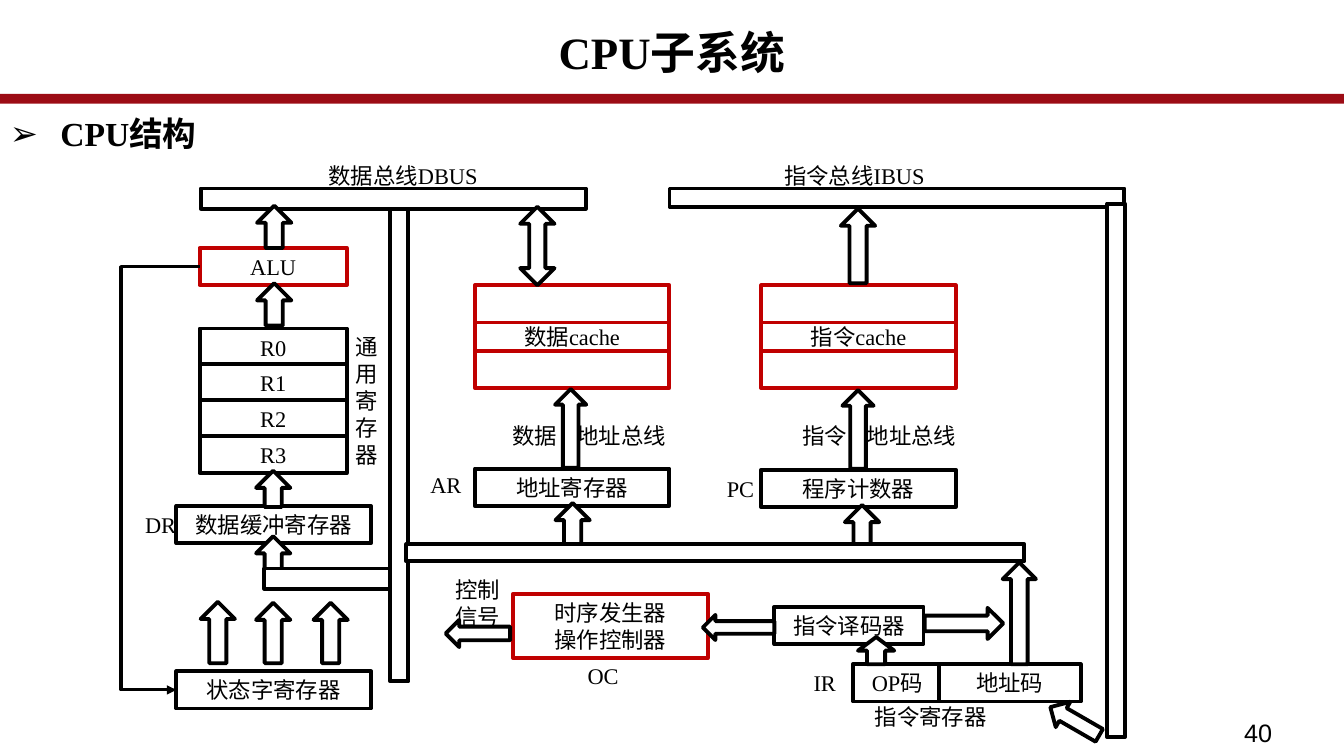
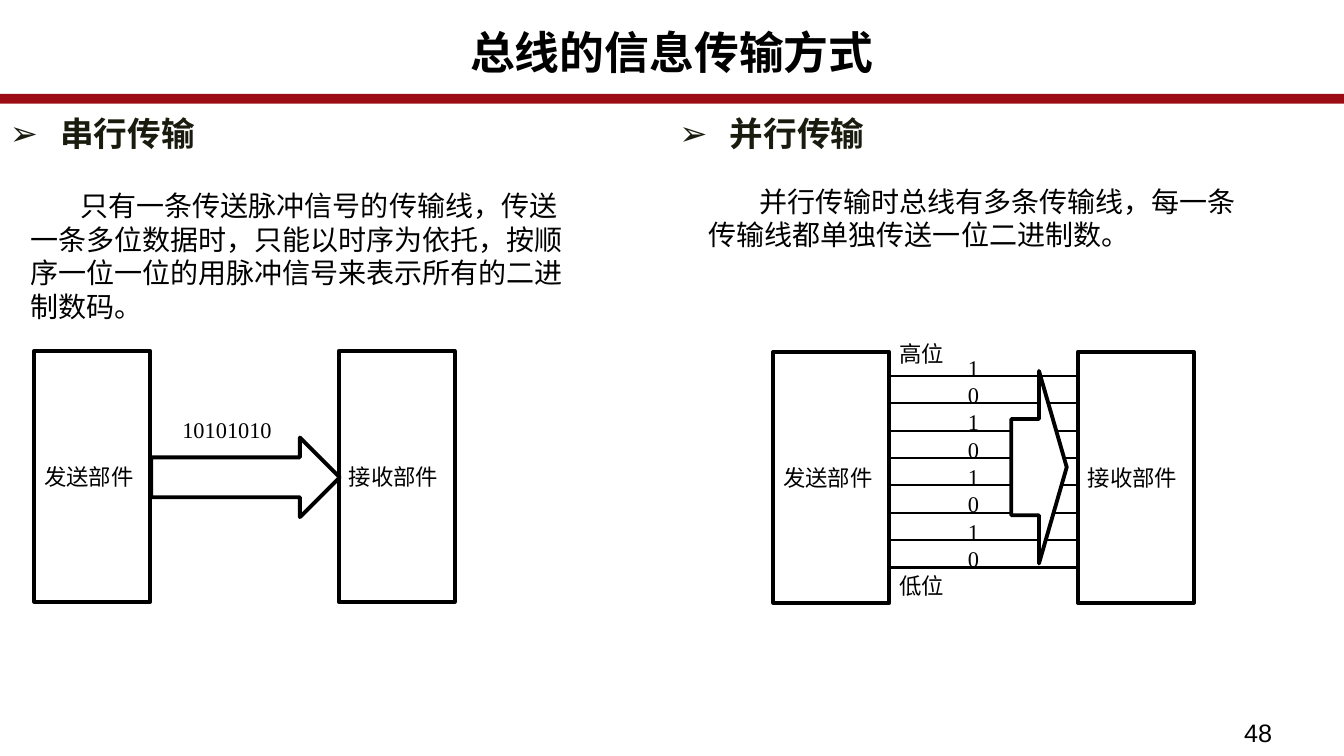
from lxml import etree
from pptx import Presentation
from pptx import util as u
from pptx.dml.color import RGBColor
from pptx.enum import shapes, text
from pptx.oxml import ns

BLACK, WHITE, BAND, RED, INK = "000000", "FFFFFF", "9C0C15", "C00000", "191B0E"
SERIF, SANS = "Times New Roman", "Arial"
SHAPE, ALIGN, ANCHOR = shapes.MSO_SHAPE, text.PP_ALIGN, text.MSO_ANCHOR
WIDTH, HEIGHT = 13.33, 7.5
LINE, ROW = 2.75, 0.37  # outline in points, height of one line of text

# ---- CPU slide: (left, top, width, height) in inches ----
REG_X, REG_W = 1.98, 1.46
UNIT_W = 1.93
WIDE_X, DATA_X, INSTR_X = 1.75, 4.71, 7.55
REGISTERS = ["R0", "R1", "R2", "R3"]
CACHES = [(DATA_X, "数据cache"), (INSTR_X, "指令cache")]
ALU, STATUS = "ALU", "状态字寄存器"
UNITS = [
    (ALU, REG_X, 2.46, REG_W, ROW, RED),
    ("数据缓冲寄存器", WIDE_X, 5.02, UNIT_W, ROW, BLACK),
    (STATUS, WIDE_X, 6.66, UNIT_W, ROW, BLACK),
    ("地址寄存器", DATA_X, 4.65, UNIT_W, ROW, BLACK),
    ("程序计数器", INSTR_X, 4.66, UNIT_W, ROW, BLACK),
    ("时序发生器\n操作控制器", 5.09, 5.89, UNIT_W, 0.64, RED),
    ("指令译码器", 7.68, 6.02, 1.48, ROW, BLACK),
    ("OP码", 8.46, 6.59, 0.88, ROW, BLACK),
    ("地址码", 9.31, 6.59, 1.41, ROW, BLACK),
]
LABELS = [
    ("数据总线DBUS", 3.16, 1.56, 1.99, ROW),
    ("指令总线IBUS", 7.68, 1.56, 1.99, ROW),
    ("通用寄存器", 3.43, 3.26, 0.44, 1.45),
    ("DR", 1.34, 5.02, 0.65, ROW),
    ("OC", 5.73, 6.52, 0.65, ROW),
    ("AR", 4.17, 4.63, 0.65, ROW),
    ("PC", 7.11, 4.66, 0.65, ROW),
    ("IR", 7.97, 6.59, 0.65, ROW),
    ("指令寄存器", 8.58, 6.93, 1.93, ROW),
    ("控制信号", 4.42, 5.67, 0.65, 0.64),
    ("数据\t地址总线", 4.98, 4.14, 1.81, ROW),
    ("指令\t地址总线", 7.86, 4.14, 2.08, ROW),
]
BACK_BUSES = [(3.87, 2.04, 0.18, 4.72), (1.99, 1.87, 3.82, 0.2), (6.64, 1.87, 4.51, 0.18)]
FRONT_BUSES = [(10.98, 2.02, 0.18, 5.29), (4.03, 5.4, 6.13, 0.17), (2.62, 5.64, 1.25, 0.2)]
# centre x, top, width, height
UP_ARROWS = [
    (2.72, 2.04, 0.34, 0.42), (2.72, 2.81, 0.34, 0.42),
    (2.71, 4.67, 0.34, 0.36), (2.71, 5.32, 0.34, 0.36),
    (2.16, 5.97, 0.34, 0.61), (2.71, 5.98, 0.34, 0.6), (3.28, 5.98, 0.34, 0.6),
    (5.66, 3.86, 0.31, 0.78), (8.51, 3.87, 0.31, 0.78),
    (5.68, 4.99, 0.34, 0.42), (8.55, 5.01, 0.34, 0.42),
    (8.69, 6.32, 0.36, 0.27), (8.51, 2.07, 0.34, 0.74), (10.11, 5.58, 0.33, 1.01),
]
SIDE_ARROWS = [
    (SHAPE.LEFT_ARROW, 4.42, 6.15, 0.64, 0.27, 0),
    (SHAPE.LEFT_ARROW, 6.97, 6.1, 0.71, 0.25, 0),
    (SHAPE.RIGHT_ARROW, 9.17, 6.03, 0.78, 0.31, 0),
    (SHAPE.RIGHT_ARROW, 10.38, 7.01, 0.56, 0.29, 210),
]
FEEDBACK_X = 1.2

# ---- transfer slide ----
SERIAL_TEXT = ("只有一条传送脉冲信号的传输线，传送一条多位数据时，只能以时序为依托，"
               "按顺序一位一位的用脉冲信号来表示所有的二进制数码。")
PARALLEL_TEXT = "并行传输时总线有多条传输线，每一条传输线都单独传送一位二进制数。"
BITS = "10101010"
PART_W, PART_H, PART_STEP = 1.15, 2.49, 3.02
WIRE_TOP, WIRE_BOTTOM = 3.73, 5.63


def color(value):
    return RGBColor.from_string(value)


def inches(*values):
    return [u.Inches(v) for v in values]


def add_xml(parent, tag, **attrs):
    return etree.SubElement(parent, ns.qn(tag), attrs)


def write(tf, content, size=16, font=SERIF, ink=BLACK, bold=False, align=ALIGN.LEFT,
          anchor=ANCHOR.TOP, spacing=None, after=None, left=0, indent=0, bullet=None, tab=None):
    tf.word_wrap = True
    tf.vertical_anchor = anchor
    for i, line in enumerate(content.split("\n")):
        p = tf.paragraphs[0] if i == 0 else tf.add_paragraph()
        p.alignment = align
        if spacing:
            p.line_spacing = spacing
        if after:
            p.space_after = u.Pt(after)
        pPr = p._p.get_or_add_pPr()
        if left or indent:
            pPr.set("marL", str(u.Inches(left)))
            pPr.set("indent", str(u.Inches(indent)))
        if bullet:
            add_xml(pPr, "a:buFont", typeface=SANS)
            add_xml(pPr, "a:buChar", char=bullet)
        if tab:
            tabs = add_xml(pPr, "a:tabLst")
            add_xml(tabs, "a:tab", pos=str(u.Inches(tab)), algn="l")
        r = p.add_run()
        r.text = line
        r.font.name, r.font.size, r.font.bold = font, u.Pt(size), bold
        r.font.color.rgb = color(ink)


def add_text(s, content, x, y, w, h, **fmt):
    write(s.shapes.add_textbox(*inches(x, y, w, h)).text_frame, content, **fmt)


def add_box(s, x, y, w, h, content="", kind=SHAPE.RECTANGLE, fill=WHITE, line=BLACK,
            align=ALIGN.CENTER):
    sp = s.shapes.add_shape(kind, *inches(x, y, w, h))
    sp.shadow.inherit = False
    sp.fill.solid()
    sp.fill.fore_color.rgb = color(fill)
    sp.line.color.rgb = color(line)
    sp.line.width = u.Pt(LINE)
    if content:
        write(sp.text_frame, content, align=align, anchor=ANCHOR.MIDDLE)
    return sp


def add_line(s, kind, x1, y1, x2, y2, width):
    c = s.shapes.add_connector(kind, *inches(x1, y1, x2, y2))
    c.line.color.rgb = color(BLACK)
    c.line.width = u.Pt(width)
    add_xml(c._element.spPr, "a:effectLst")
    return c


def add_heading(s, content, x, ink):
    add_text(s, content, x, 1.1, 6.38, 0.51, size=24, ink=ink, bold=True, spacing=0.94,
             after=2, left=0.5, indent=-0.5, bullet="➢")


def add_slide(prs, title, number):
    s = prs.slides.add_slide(prs.slide_layouts[5])
    add_box(s, -0.01, 0.95, WIDTH + 0.01, 0.06, kind=SHAPE.ROUNDED_RECTANGLE, fill=BAND, line=BAND)
    sp = s.shapes.title
    sp.left, sp.top, sp.width, sp.height = inches(0, 0.26, WIDTH, 0.75)
    write(sp.text_frame, title, size=32, bold=True, align=ALIGN.CENTER, spacing=0.89)
    add_text(s, number, 12.24, 7.07, 1.09, 0.44, size=18, font=SANS)
    return s


def add_feedback(s, start, end):
    """Elbow arrow that leaves one box on the left and enters another on the left."""
    c = add_line(s, shapes.MSO_CONNECTOR.ELBOW, 0, 0, 1, 1, 2.25)
    c.begin_connect(start, 1)
    c.end_connect(end, 1)
    bend = (start.left - u.Inches(FEEDBACK_X)) / (start.left - end.left)
    guides = c._element.spPr.prstGeom.get_or_add_avLst()
    add_xml(guides, "a:gd", name="adj1", fmla=f"val {round(bend * 100000)}")
    add_xml(c.line._get_or_add_ln(), "a:tailEnd", type="triangle")


def build_cpu(prs):
    s = add_slide(prs, "CPU子系统", "40")
    add_heading(s, "CPU结构", 0, BLACK)
    for bus in BACK_BUSES:
        add_box(s, *bus)
    for i, name in enumerate(REGISTERS):
        add_box(s, REG_X, 3.26 + 0.355 * i, REG_W, ROW, name)
    for x, name in CACHES:
        for y, label in ((3.15, name), (2.83, ""), (3.48, "")):
            add_box(s, x, y, UNIT_W, ROW, label, line=RED)
    units = {name: add_box(s, *place, name, line=line) for name, *place, line in UNITS}
    for label, *place in LABELS:
        add_text(s, label, *place, tab=0.64 if "\t" in label else None)
    for cx, y, w, h in UP_ARROWS:
        add_box(s, cx - w / 2, y, w, h, kind=SHAPE.UP_ARROW)
    both = add_box(s, 5.16, 2.05, 0.34, 0.78, kind=SHAPE.UP_DOWN_ARROW)
    both.adjustments[0], both.adjustments[1] = 0.43, 0.47
    for kind, x, y, w, h, turn in SIDE_ARROWS:
        add_box(s, x, y, w, h, kind=kind).rotation = turn
    for bus in FRONT_BUSES:
        add_box(s, *bus)
    add_feedback(s, units[ALU], units[STATUS])


def add_parts(s, x, y):
    for i, name in enumerate(("发送部件", "接收部件")):
        add_box(s, x + i * PART_STEP, y, PART_W, PART_H, name, align=ALIGN.LEFT)


def build_transfer(prs):
    s = add_slide(prs, "总线的信息传输方式", "48")
    add_heading(s, "串行传输", 0, INK)
    add_heading(s, "并行传输", 6.64, INK)
    add_text(s, SERIAL_TEXT, 0.2, 1.82, 5.56, 1.45, size=20, indent=0.5)
    add_text(s, PARALLEL_TEXT, 6.93, 1.78, 5.56, 0.77, size=20, indent=0.5)

    add_parts(s, 0.34, 3.48)
    add_box(s, 1.5, 4.34, 1.87, 0.79, kind=SHAPE.RIGHT_ARROW)
    add_text(s, BITS, 1.71, 4.08, 1.22, ROW)

    x = 7.67
    add_parts(s, x, 3.49)
    wire_x = x + PART_W
    gap = (WIRE_BOTTOM - WIRE_TOP) / (len(BITS) - 1)
    for i, bit in enumerate(BITS):
        y = WIRE_TOP + i * gap
        add_line(s, shapes.MSO_CONNECTOR.STRAIGHT, wire_x, y, x + PART_STEP, y, 1.5)
        add_text(s, bit, 9.5, y - 0.27, 0.41, ROW)
    add_text(s, "高位", wire_x, 3.33, 0.95, ROW)
    add_text(s, "低位", wire_x, WIRE_BOTTOM, 0.95, ROW)
    add_box(s, 10.03, 3.68, 0.55, 1.91, kind=SHAPE.RIGHT_ARROW)


def main():
    prs = Presentation()
    prs.slide_width, prs.slide_height = inches(WIDTH, HEIGHT)
    build_cpu(prs)
    build_transfer(prs)
    prs.save("out.pptx")


if __name__ == "__main__":
    main()
